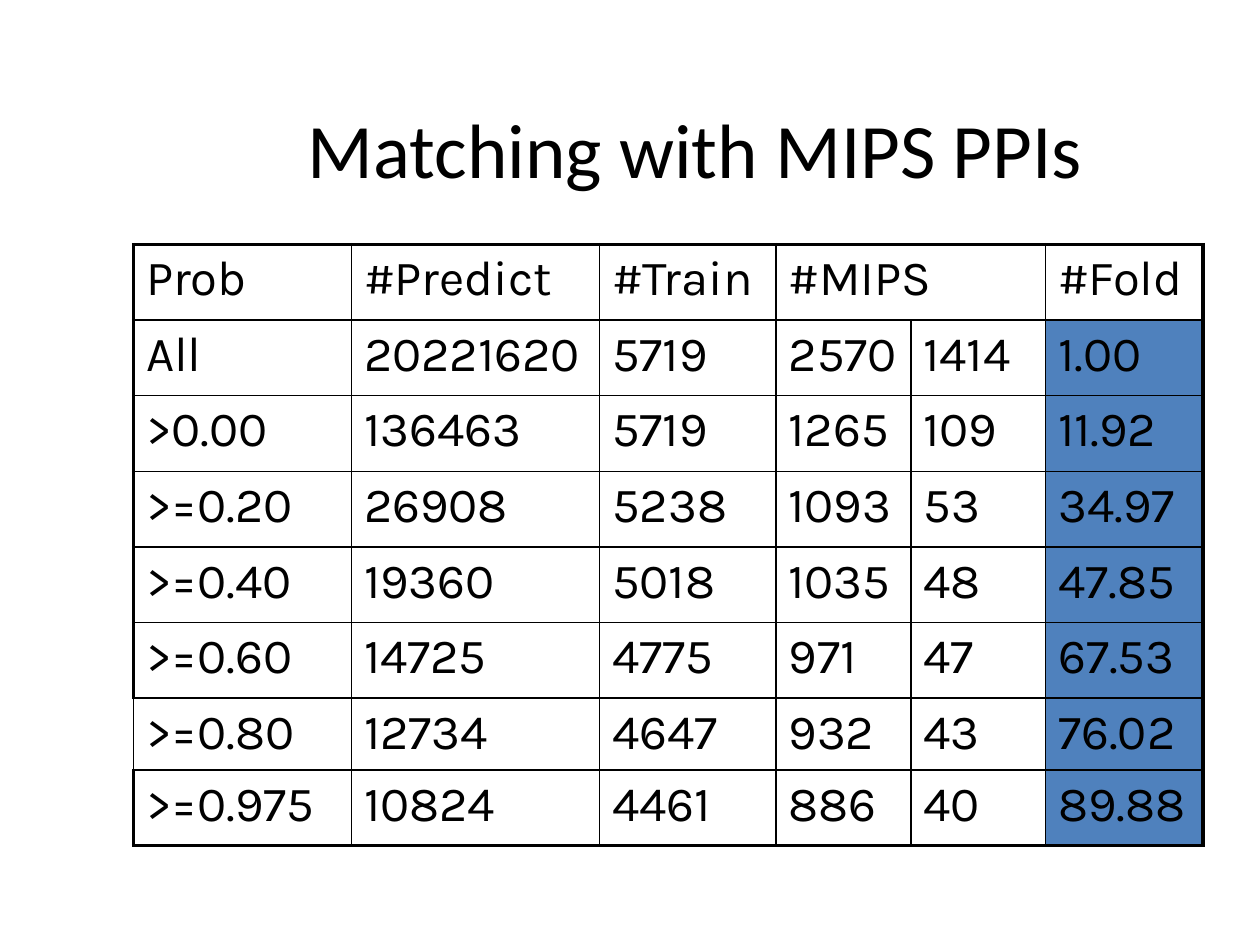
from lxml.etree import SubElement
from pptx import Presentation
from pptx.dml.color import RGBColor
from pptx.enum.text import MSO_ANCHOR, PP_ALIGN
from pptx.oxml.ns import qn
from pptx.util import Inches, Pt

# Content
TITLE = "Matching with MIPS PPIs"
ROWS = [
    ("Prob", "#Predict", "#Train", "#MIPS", "", "#Fold"),
    ("All", "20221620", "5719", "2570", "1414", "1.00"),
    (">0.00", "136463", "5719", "1265", "109", "11.92"),
    (">=0.20", "26908", "5238", "1093", "53", "34.97"),
    (">=0.40", "19360", "5018", "1035", "48", "47.85"),
    (">=0.60", "14725", "4775", "971", "47", "67.53"),
    (">=0.80", "12734", "4647", "932", "43", "76.02"),
    (">=0.975", "10824", "4461", "886", "40", "89.88"),
]
COLUMN_WIDTHS = (1.73, 1.97, 1.4, 1.07, 1.07, 1.25)
ROW_HEIGHTS = (0.6,) * 6 + (0.57, 0.6)
THIN_LEFT_ROW = 6  # the one row whose left edge is thin
THIN, THICK = 1, 2.25
BLACK, WHITE, BLUE = "000000", "FFFFFF", "4F81BD"


def color(value):
    return RGBColor.from_string(value)


def write(frame, text, font="Karla", size=28, ink=BLACK, align=PP_ALIGN.LEFT):
    para = frame.paragraphs[0]
    para.alignment = align
    para.space_before = Pt(0)
    span = para.add_run()
    span.text = text
    span.font.name = font
    span.font.size = Pt(size)
    span.font.bold = False
    span.font.color.rgb = color(ink)


def set_borders(cell, widths):
    """Add the border lines; call before the fill, which must follow them."""
    properties = cell._tc.get_or_add_tcPr()
    for side in "LRTB":
        line = SubElement(properties, qn(f"a:ln{side}"), w=str(Pt(widths[side])))
        solid = SubElement(line, qn("a:solidFill"))
        SubElement(solid, qn("a:srgbClr"), val=BLACK)


def set_fill(cell, value):
    if value is None:
        cell.fill.background()
    else:
        cell.fill.solid()
        cell.fill.fore_color.rgb = color(value)


deck = Presentation()
deck.slide_width, deck.slide_height = Inches(10), Inches(7.5)
page = deck.slides.add_slide(deck.slide_layouts[5])

# Title
title = page.shapes.title
title.left, title.top = Inches(1.26), Inches(0.52)
title.width, title.height = Inches(8.52), Inches(1.31)
title.text_frame.vertical_anchor = MSO_ANCHOR.MIDDLE
write(title.text_frame, TITLE, font="Calibri", size=44, align=PP_ALIGN.CENTER)

# Table
table = page.shapes.add_table(
    len(ROWS), len(COLUMN_WIDTHS), Inches(1.06), Inches(1.94),
    Inches(sum(COLUMN_WIDTHS)), Inches(sum(ROW_HEIGHTS))).table
table.first_row = table.horz_banding = False
for column, width in zip(table.columns, COLUMN_WIDTHS):
    column.width = Inches(width)
for row, height in zip(table.rows, ROW_HEIGHTS):
    row.height = Inches(height)
table.cell(0, 3).merge(table.cell(0, 4))

# Cells: thick outer frame, thin inner lines, last column filled
last_row, last_column = len(ROWS) - 1, len(COLUMN_WIDTHS) - 1
for r, values in enumerate(ROWS):
    for c, text in enumerate(values):
        cell = table.cell(r, c)
        set_borders(cell, {
            "L": THICK if c == 0 and r != THIN_LEFT_ROW else THIN,
            "R": THICK if c == last_column else THIN,
            "T": THICK if r == 0 else THIN,
            "B": THICK if r == last_row else THIN,
        })
        set_fill(cell, None if c < last_column else BLUE if r else WHITE)
        if text:
            write(cell.text_frame, text)

deck.save("out.pptx")
